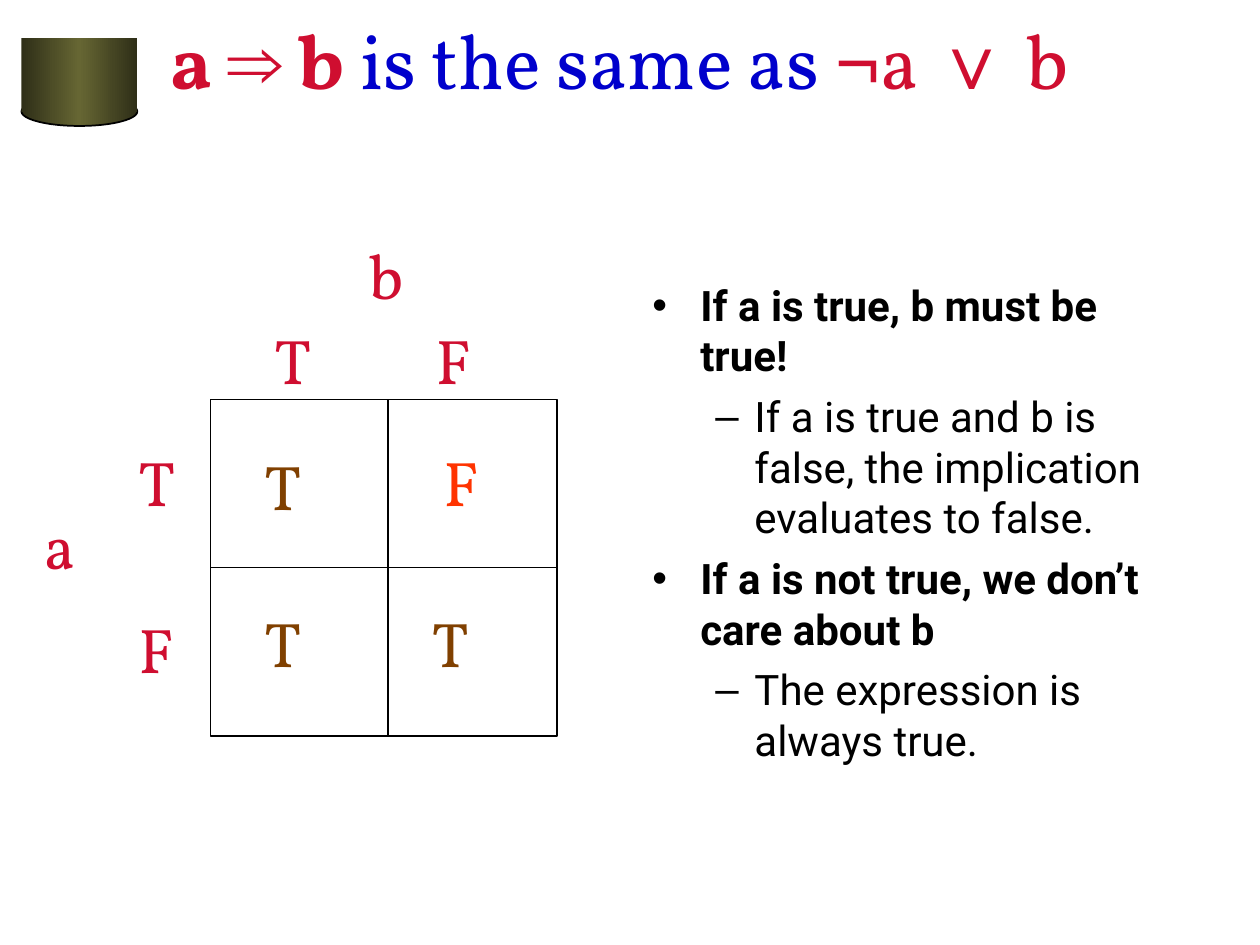
from copy import deepcopy
from lxml import etree
from pptx import Presentation
from pptx.dml.color import RGBColor
from pptx.enum.shapes import MSO_CONNECTOR, MSO_SHAPE
from pptx.enum.text import MSO_ANCHOR, MSO_AUTO_SIZE, PP_ALIGN
from pptx.oxml.ns import qn
from pptx.util import Inches, Pt

LINE = MSO_CONNECTOR.STRAIGHT
RECT, OVAL = MSO_SHAPE.RECTANGLE, MSO_SHAPE.OVAL
LEFT, BOTTOM = PP_ALIGN.LEFT, MSO_ANCHOR.BOTTOM
FIXED = MSO_AUTO_SIZE.NONE
RED = RGBColor(0xCF, 0x0E, 0x30)
BLUE = RGBColor(0x00, 0x00, 0xCC)
BROWN = RGBColor(0x80, 0x40, 0x00)
ORANGE = RGBColor(0xFF, 0x33, 0x00)
BLACK = RGBColor(0, 0, 0)
WHITE = RGBColor(0xFF, 0xFF, 0xFF)
DARK = RGBColor(0x2F, 0x2F, 0x18)
OLIVE = RGBColor(0x66, 0x66, 0x33)


def style(run, font, size, color, bold=False):
    run.font.name = font
    run.font.size = Pt(size)
    run.font.color.rgb = color
    run.font.bold = bold


def outline(item):
    item.line.color.rgb = BLACK
    item.line.width = Pt(1)


deck = Presentation()
deck.slide_width, deck.slide_height = Inches(10), Inches(7.5)
slide = deck.slides.add_slide(deck.slide_layouts[5])
shapes = slide.shapes

for kind, top, height in [(OVAL, 0.77, 0.23), (RECT, 0.3, 0.59)]:
    part = shapes.add_shape(kind, Inches(0.17), Inches(top), Inches(0.92), Inches(height))
    part.shadow.inherit = False
    part.fill.gradient()
    part.fill.gradient_angle = 0
    stops = part.fill.gradient_stops
    stops[0].color.rgb = DARK
    stops[0].position = 0
    stops[1].color.rgb = OLIVE
    stops[1].position = 0.5
    stop_list = part.fill._fill._gradFill.gsLst
    last = deepcopy(stop_list[0])
    last.set("pos", "100000")
    stop_list.append(last)
    if kind == OVAL:
        outline(part)
    else:
        part.line.fill.background()

title = shapes.title
title.left, title.top = Inches(1.25), Inches(0.5)
title.width, title.height = Inches(8.25), Inches(0.67)
frame = title.text_frame
frame.auto_size = FIXED
frame.vertical_anchor = BOTTOM
frame.margin_bottom = Inches(0.34)
para = frame.paragraphs[0]
para.alignment = LEFT
for text, font, color, bold in [
    ("a ", "Vollkorn", RED, True),
    ("⇒", "Arial", RED, True),
    (" b", "Vollkorn", RED, True),
    (" is the same as ", "Vollkorn", BLUE, False),
    ("¬", "Arial", RED, False),
    ("a ", "Vollkorn", RED, False),
    ("∨", "Arial", RED, False),
    (" b", "Vollkorn", RED, False),
]:
    run = para.add_run()
    run.text = text
    style(run, font, 44, color, bold)

body = shapes.add_textbox(Inches(5.08), Inches(2.17), Inches(4.17), Inches(4.5))
frame = body.text_frame
frame.word_wrap = True
points = [
    (0, "If a is true, b must be true!"),
    (1, "If a is true and b is false, the implication evaluates to false."),
    (0, "If a is not true, we don’t care about b"),
    (1, "The expression is always true."),
]
marks = [("•", 0.38, 0.38), ("–", 0.81, 0.31)]
for i, (level, text) in enumerate(points):
    para = frame.paragraphs[0] if i == 0 else frame.add_paragraph()
    para.text = text
    para.level = level
    mark, margin, hang = marks[level]
    props = para._p.get_or_add_pPr()
    props.set("marL", str(Inches(margin)))
    props.set("indent", str(-Inches(hang)))
    etree.SubElement(props, qn("a:buFont")).set("typeface", "Arial")
    etree.SubElement(props, qn("a:buChar")).set("char", mark)
    if i:
        para.space_before = Pt(6)
    style(para.runs[0], "Roboto", 24, BLACK, level == 0)

grid = shapes.add_shape(RECT, Inches(1.67), Inches(3.17), Inches(2.75), Inches(2.67))
grid.shadow.inherit = False
grid.fill.solid()
grid.fill.fore_color.rgb = WHITE
outline(grid)

row = shapes.add_connector(LINE, Inches(1.67), Inches(4.5), Inches(4.42), Inches(4.5))
row.begin_connect(grid, 1)
row.end_connect(grid, 3)
col = shapes.add_connector(LINE, Inches(3.08), Inches(3.17), Inches(3.08), Inches(5.83))
for rule in (row, col):
    outline(rule)
    etree.SubElement(rule._element.spPr, qn("a:effectLst"))

for text, left, top, width, color in [
    ("a", 0.25, 3.97, 0.75, RED),
    ("T", 1, 3.47, 0.42, RED),
    ("F", 1, 4.8, 0.58, RED),
    ("b", 2.83, 1.83, 0.67, RED),
    ("T", 2.08, 2.5, 1, RED),
    ("F", 3.36, 2.5, 1.14, RED),
    ("T", 2, 3.5, 1.08, BROWN),
    ("F", 3.42, 3.47, 1, ORANGE),
    ("T", 2, 4.75, 1.08, BROWN),
    ("T", 3.33, 4.75, 1.08, BROWN),
]:
    label = shapes.add_textbox(Inches(left), Inches(top), Inches(width), Inches(0.7))
    label.text_frame.word_wrap = True
    label.text_frame.text = text
    style(label.text_frame.paragraphs[0].runs[0], "Vollkorn", 36, color)

deck.save("out.pptx")
